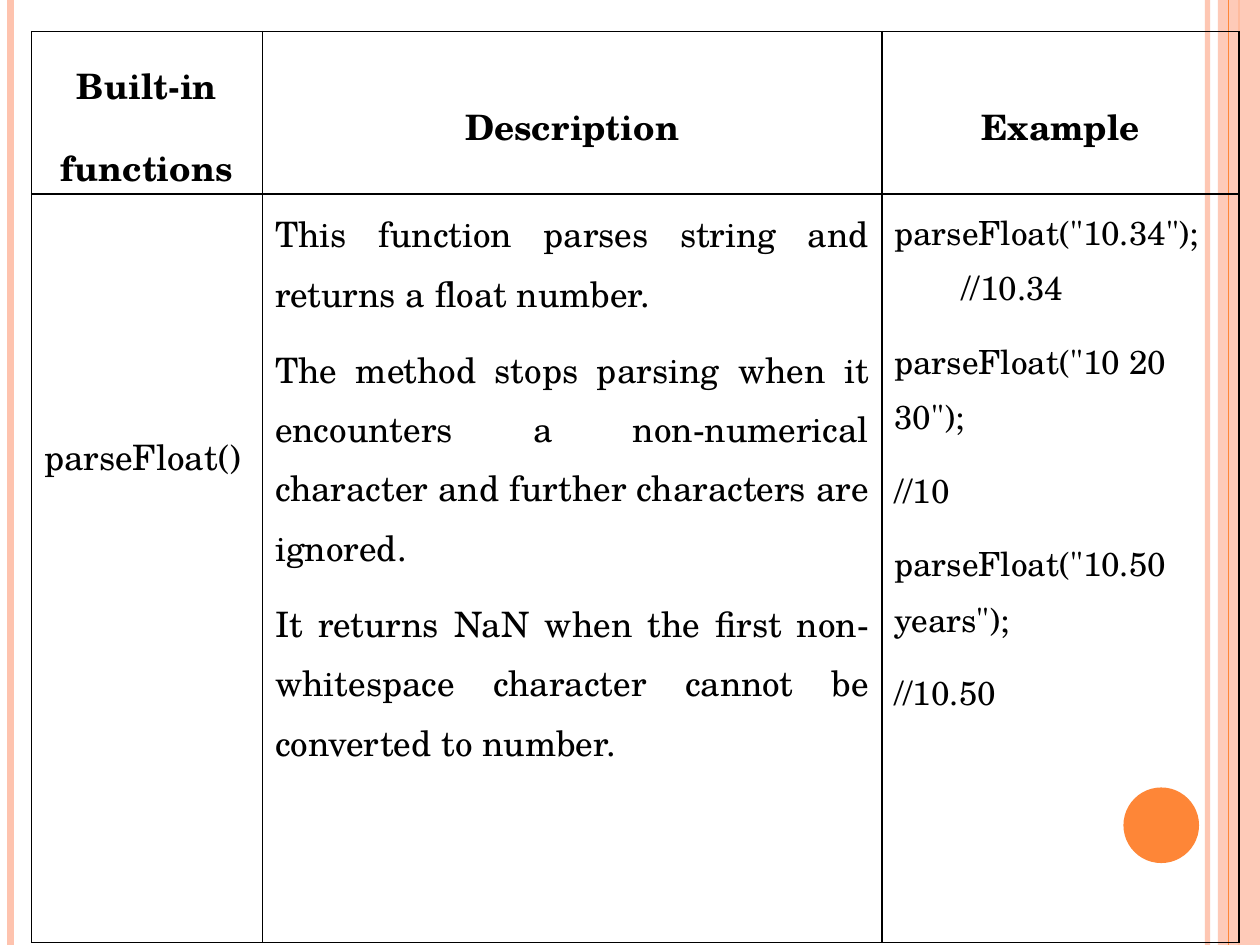
"""Build a slide whose table explains the parseFloat() built-in function."""
from dataclasses import dataclass

from lxml import etree
from pptx import Presentation
from pptx.dml.color import RGBColor
from pptx.enum.shapes import MSO_CONNECTOR, MSO_SHAPE
from pptx.enum.text import MSO_ANCHOR, PP_ALIGN
from pptx.oxml.ns import qn
from pptx.util import Emu, Inches, Pt

STRAIGHT = MSO_CONNECTOR.STRAIGHT
RECTANGLE, OVAL = MSO_SHAPE.RECTANGLE, MSO_SHAPE.OVAL
LEFT, CENTER, JUSTIFY = PP_ALIGN.LEFT, PP_ALIGN.CENTER, PP_ALIGN.JUSTIFY
TOP, MIDDLE = MSO_ANCHOR.TOP, MSO_ANCHOR.MIDDLE

GRID_COLUMNS, GRID_ROWS = 120, 90
SLIDE_WIDTH, SLIDE_HEIGHT = Inches(10), Inches(7.5)
FONT = "TeX Gyre Schola"
PEACH, ORANGE, BLACK = "FEC3AE", "FE8637", "000000"


@dataclass
class Stripe:
    column: float
    color: str
    points: float
    opacity: int = 100


@dataclass
class Block:
    shape: int
    left: float
    top: float
    width: float
    height: float
    color: str
    opacity: int = 100


@dataclass
class CellText:
    paragraphs: list[str]
    align: int
    spacing: float = 1.15
    bold: bool = False
    anchor: int = TOP
    side_margin: float = 1.2
    top_margin: float = 0.6
    bottom_margin: float = 0.6
    hanging: float = 0
    size: float = 20


def header(text: str) -> CellText:
    return CellText([text], CENTER, 1.5, True, MIDDLE, 0, 0, 0)


STRIPES = [
    Stripe(115, PEACH, 3, 93),
    Stripe(1, PEACH, 4.5),
    Stripe(118, ORANGE, 1.5),
]
BAND = Block(RECTANGLE, 116, 0, 4, GRID_ROWS, PEACH, 87)
BAND_EDGE = Stripe(117, ORANGE, 0.75)
DOT = Block(OVAL, 107, 75, 7.2, 7.2, ORANGE)

COLUMN_WIDTHS = [22, 59, 34]
ROW_HEIGHTS = [11, 71.3]
CELLS = [
    [header("Built-in functions"), header("Description"), header("Example")],
    [
        CellText(["parseFloat()"], JUSTIFY, top_margin=21.8),
        CellText([
            "This function parses string and returns a float number.",
            "The method stops parsing when it encounters a non-numerical "
            "character and further characters are ignored.",
            "It returns NaN when the first non-whitespace character cannot "
            "be converted to number.",
        ], JUSTIFY),
        CellText([
            'parseFloat("10.34");\v//10.34',
            'parseFloat("10 20 30");',
            "//10",
            'parseFloat("10.50 years");',
            "//10.50",
        ], LEFT, hanging=6.4, size=19),
    ],
]


def across(columns: float) -> Emu:
    return Emu(round(SLIDE_WIDTH * columns / GRID_COLUMNS))


def down(rows: float) -> Emu:
    return Emu(round(SLIDE_HEIGHT * rows / GRID_ROWS))


def paint(fill, color: str, opacity: int = 100) -> None:
    fill.solid()
    fill.fore_color.rgb = RGBColor.from_string(color)
    if opacity < 100:
        tint = fill._xPr.find(qn("a:solidFill"))[0]
        etree.SubElement(tint, qn("a:alpha"), val=str(opacity * 1000))


def draw_stripe(page, stripe: Stripe) -> None:
    column = across(stripe.column)
    line = page.shapes.add_connector(STRAIGHT, column, 0, column, SLIDE_HEIGHT)
    line.line.width = Pt(stripe.points)
    paint(line.line.fill, stripe.color, stripe.opacity)
    etree.SubElement(line._element.spPr, qn("a:effectLst"))


def draw_block(page, block: Block) -> None:
    shape = page.shapes.add_shape(
        block.shape, across(block.left), down(block.top),
        across(block.width), down(block.height))
    shape.shadow.inherit = False
    shape.line.fill.background()
    paint(shape.fill, block.color, block.opacity)


def add_borders(cell) -> None:
    properties = cell._tc.get_or_add_tcPr()
    for side in ("lnL", "lnR", "lnT", "lnB"):
        border = etree.SubElement(properties, qn(f"a:{side}"), w=str(Pt(1)))
        fill = etree.SubElement(border, qn("a:solidFill"))
        etree.SubElement(fill, qn("a:srgbClr"), val=BLACK)


def fill_cell(cell, content: CellText) -> None:
    add_borders(cell)
    cell.fill.background()
    cell.vertical_anchor = content.anchor
    cell.margin_left = cell.margin_right = across(content.side_margin)
    cell.margin_top = down(content.top_margin)
    cell.margin_bottom = down(content.bottom_margin)
    cell.text_frame.text = "\n".join(content.paragraphs)
    for para in cell.text_frame.paragraphs:
        para.alignment = content.align
        para.line_spacing = content.spacing
        para.space_after = Pt(10)
        for span in para.runs:
            span.font.name = FONT
            span.font.size = Pt(content.size)
            span.font.bold = content.bold
            span.font.color.rgb = RGBColor.from_string(BLACK)
    if content.hanging:
        indent = across(content.hanging)
        first = cell.text_frame.paragraphs[0]._p.get_or_add_pPr()
        first.set("marL", str(indent))
        first.set("indent", str(-indent))


def draw_table(page) -> None:
    frame = page.shapes.add_table(
        len(ROW_HEIGHTS), len(COLUMN_WIDTHS), across(3), down(3),
        across(sum(COLUMN_WIDTHS)), down(sum(ROW_HEIGHTS)))
    table = frame.table
    table.first_row = table.horz_banding = False
    for column, width in zip(table.columns, COLUMN_WIDTHS):
        column.width = across(width)
    for row, height, contents in zip(table.rows, ROW_HEIGHTS, CELLS):
        row.height = down(height)
        for cell, content in zip(row.cells, contents):
            fill_cell(cell, content)


def main() -> None:
    deck = Presentation()
    deck.slide_width, deck.slide_height = SLIDE_WIDTH, SLIDE_HEIGHT
    page = deck.slides.add_slide(deck.slide_layouts[6])
    for stripe in STRIPES:
        draw_stripe(page, stripe)
    draw_block(page, BAND)
    draw_stripe(page, BAND_EDGE)
    draw_block(page, DOT)
    draw_table(page)
    deck.save("out.pptx")


if __name__ == "__main__":
    main()
